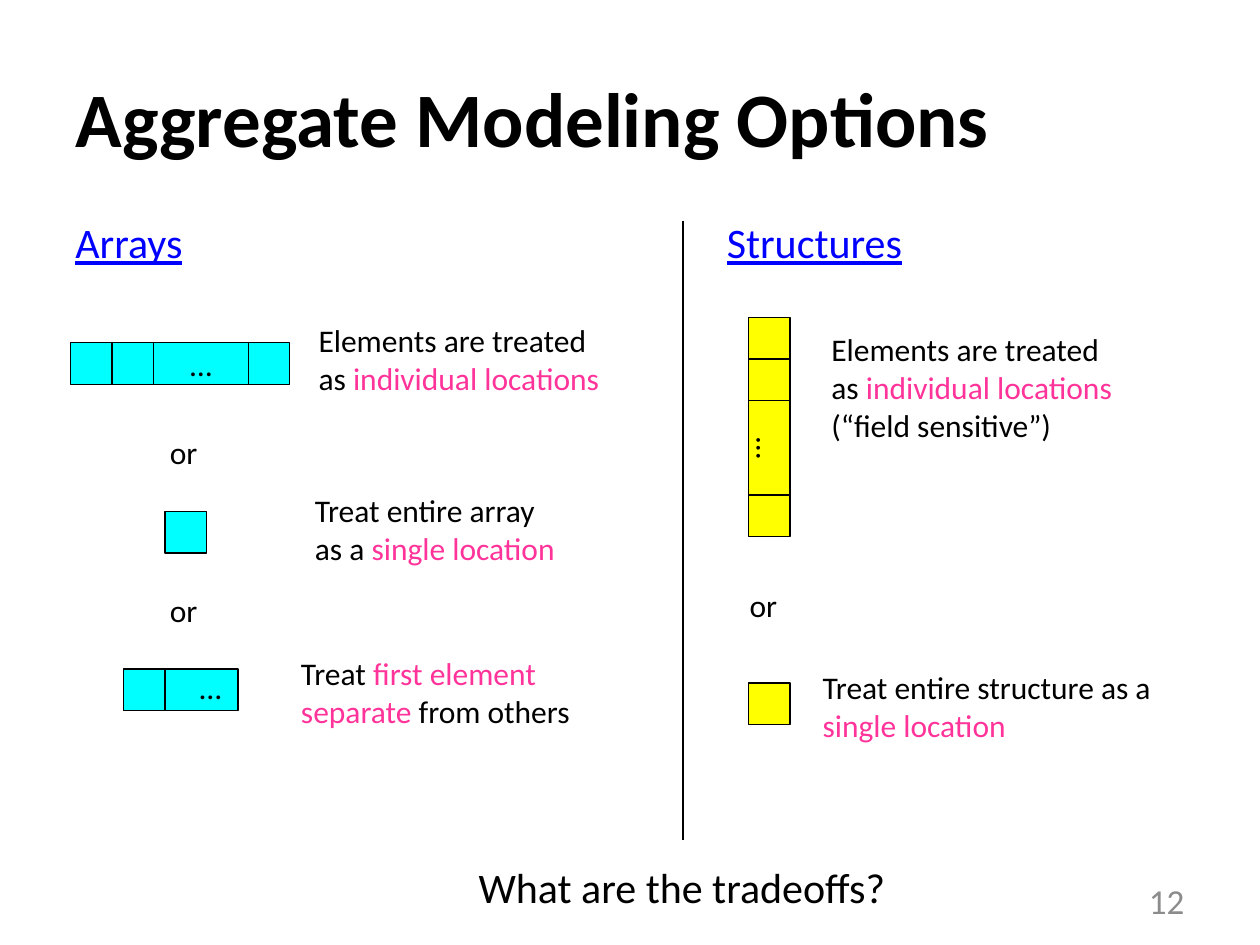
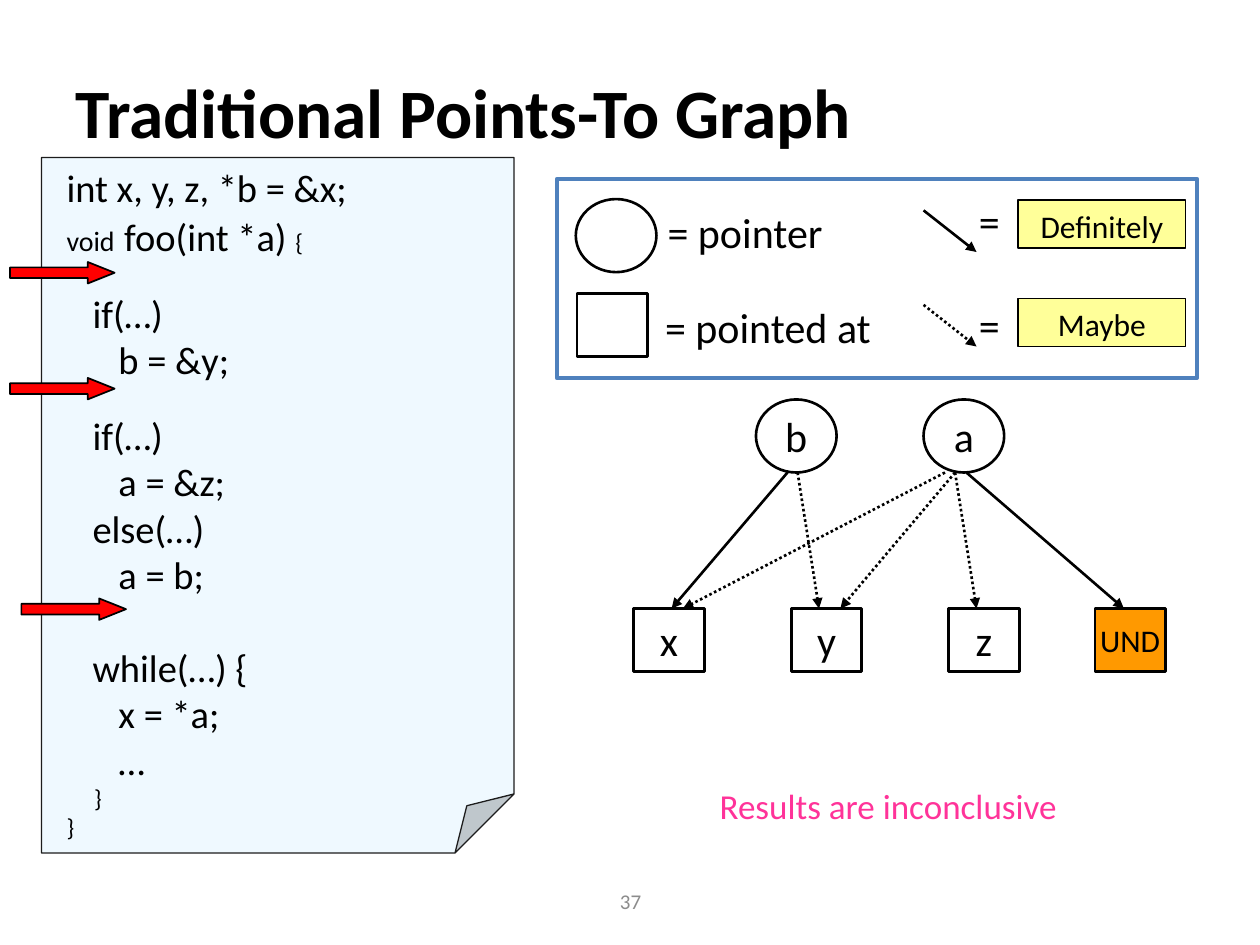
from dataclasses import dataclass, field
from typing import Any, NamedTuple, Optional

from lxml import etree
from pptx import Presentation
from pptx.dml.color import RGBColor
from pptx.enum.dml import MSO_LINE
from pptx.enum.shapes import MSO_CONNECTOR, MSO_SHAPE as SHAPE
from pptx.enum.text import MSO_ANCHOR as ANCHOR, MSO_AUTO_SIZE as AUTO, PP_ALIGN as ALIGN
from pptx.oxml.ns import qn
from pptx.util import Inches, Pt

FONT = "Calibri"
BLACK = RGBColor(0x00, 0x00, 0x00)
BLUE = RGBColor(0x00, 0x00, 0xFF)
PINK = RGBColor(0xFF, 0x33, 0x99)
GRAY = RGBColor(0x8C, 0x8C, 0x8C)
CYAN = RGBColor(0x00, 0xFF, 0xFF)
YELLOW = RGBColor(0xFF, 0xFF, 0x00)
PALE_YELLOW = RGBColor(0xFF, 0xFF, 0x99)
ORANGE = RGBColor(0xFF, 0x99, 0x00)
RED = RGBColor(0xFF, 0x00, 0x00)
PAPER = RGBColor(0xEF, 0xF9, 0xFF)
PAPER_EDGE = RGBColor(0x1C, 0x1C, 0x1C)
FRAME_BLUE = RGBColor(0x4F, 0x81, 0xBD)

CELL = 0.33  # side of one memory cell
NODE = (0.56, 0.5)
POINTER = (0.64, 0.58)


class Run(NamedTuple):
    text: str
    color: RGBColor = BLACK
    size: Optional[float] = None


class Box(NamedTuple):
    left: float
    top: float
    width: float
    height: float

    def lengths(self) -> list[Inches]:
        return [Inches(v) for v in self]


@dataclass
class Para:
    runs: list[Run]
    before: float = 0


@dataclass
class Label:
    box: Box
    paras: list[Para]
    size: float = 18
    align: ALIGN = ALIGN.LEFT
    wrap: bool = False
    anchor: ANCHOR = ANCHOR.TOP
    underline: bool = False


@dataclass
class Figure:
    kind: SHAPE
    box: Box
    fill: Optional[RGBColor] = None
    line: RGBColor = BLACK
    weight: float = 1.5
    text: str = ""
    size: float = 24
    anchor: ANCHOR = ANCHOR.MIDDLE
    rotation: float = 0
    guides: dict[str, int] = field(default_factory=dict)


class Line(NamedTuple):
    start: tuple[float, float]
    end: tuple[float, float]
    weight: float = 1.5
    dotted: bool = False
    arrow: bool = True


def set_all(target: Any, values: dict[str, Any]) -> None:
    for name, value in values.items():
        setattr(target, name, value)


def plain(*lines: str, color: RGBColor = BLACK) -> list[Para]:
    return [Para([Run(line, color)]) for line in lines]


def write(tf, paras: list[Para], size: float, align: ALIGN, **font: Any) -> None:
    for i, para in enumerate(paras):
        p = tf.paragraphs[0] if i == 0 else tf.add_paragraph()
        set_all(p, {"alignment": align, "space_before": Pt(para.before)})
        for run in para.runs:
            r = p.add_run()
            r.text = run.text
            set_all(r.font, {"name": FONT, "size": Pt(run.size or size), **font})
            r.font.color.rgb = run.color


def add_label(s, label: Label) -> None:
    tf = s.shapes.add_textbox(*label.box.lengths()).text_frame
    set_all(tf, {"word_wrap": label.wrap, "vertical_anchor": label.anchor,
                 "auto_size": AUTO.NONE if label.wrap else AUTO.SHAPE_TO_FIT_TEXT})
    write(tf, label.paras, label.size, label.align, underline=label.underline)


def set_guides(sp, guides: dict[str, int]) -> None:
    """Replace the shape's adjustment values, given in 1/100000."""
    geometry = sp._element.spPr.find(qn("a:prstGeom"))
    for old in geometry.findall(qn("a:avLst")):
        geometry.remove(old)
    values = etree.SubElement(geometry, qn("a:avLst"))
    for name, value in guides.items():
        etree.SubElement(values, qn("a:gd"), name=name, fmla=f"val {value}")


def add_figure(s, fig: Figure) -> None:
    sp = s.shapes.add_shape(fig.kind, *fig.box.lengths())
    sp.shadow.inherit = False
    sp.rotation = fig.rotation
    if fig.guides:
        set_guides(sp, fig.guides)
    if fig.fill is None:
        sp.fill.background()
    else:
        sp.fill.solid()
        sp.fill.fore_color.rgb = fig.fill
    sp.line.color.rgb = fig.line
    sp.line.width = Pt(fig.weight)
    if fig.text:
        set_all(sp.text_frame, {"word_wrap": False, "vertical_anchor": fig.anchor})
        write(sp.text_frame, plain(fig.text), fig.size, ALIGN.CENTER)


def add_line(s, line: Line) -> None:
    ends = [Inches(v) for v in (*line.start, *line.end)]
    c = s.shapes.add_connector(MSO_CONNECTOR.STRAIGHT, *ends)
    c.line.color.rgb = BLACK
    c.line.width = Pt(line.weight)
    if line.dotted:
        c.line.dash_style = MSO_LINE.ROUND_DOT
    props = c._element.spPr
    if line.arrow:
        etree.SubElement(props.find(qn("a:ln")), qn("a:tailEnd"), type="triangle")
    etree.SubElement(props, qn("a:effectLst"))


def add_cells(s, left: float, top: float, widths: list[float], fill: RGBColor,
              dots: Optional[int] = None, vertical: bool = False) -> None:
    """Draw a run of touching cells; the cell numbered `dots` shows an ellipsis."""
    for i, width in enumerate(widths):
        offset = sum(widths[:i])
        box = Box(left + offset, top, width, CELL)
        if vertical:
            shift = (width - CELL) / 2
            box = Box(left - shift, top + offset + shift, width, CELL)
        add_figure(s, Figure(SHAPE.RECTANGLE, box, fill, weight=0.75, size=18,
                             text="…" if i == dots else "", rotation=90 if vertical else 0))


def new_slide(prs, title: str, box: Box, size: float, number: Label):
    s = prs.slides.add_slide(prs.slide_layouts[5])
    ph = s.shapes.title
    set_all(ph, dict(zip(("left", "top", "width", "height"), box.lengths())))
    set_all(ph.text_frame, {"vertical_anchor": ANCHOR.MIDDLE, "auto_size": AUTO.NONE,
                            "word_wrap": True})
    write(ph.text_frame, plain(title), size, ALIGN.LEFT, bold=True)
    add_label(s, number)
    return s


def page_number(text: str, box: Box, size: float, align: ALIGN) -> Label:
    return Label(box, plain(text, color=GRAY), size, align, True, ANCHOR.MIDDLE)


def build_aggregates(prs) -> None:
    s = new_slide(prs, "Aggregate Modeling Options", Box(0.5, 0.3, 9, 1.25), 44,
                  page_number("12", Box(7.17, 6.95, 2.33, 0.4), 20, ALIGN.RIGHT))
    for heading, left in (("Arrays", 0.5), ("Structures", 5.67)):
        add_label(s, Label(Box(left, 1.67, 4, 0.5), plain(heading, color=BLUE), 24,
                           wrap=True, underline=True))
    add_line(s, Line((5.42, 1.75), (5.42, 6.67), 1.25, arrow=False))

    add_cells(s, 0.56, 2.72, [CELL, CELL, 0.75, CELL], CYAN, dots=2)
    add_cells(s, 1.31, 4.06, [CELL], CYAN)
    add_cells(s, 0.98, 5.31, [CELL, 0.58], CYAN)
    add_label(s, Label(Box(1.48, 5.25, 0.38, 0.4), plain("…"), align=ALIGN.CENTER))
    add_cells(s, 5.94, 2.52, [CELL, CELL, 0.75, CELL], YELLOW, dots=2, vertical=True)
    add_cells(s, 5.94, 5.42, [CELL], YELLOW)

    for left, top in ((1.25, 3.39), (1.25, 4.64), (5.85, 4.6)):
        add_label(s, Label(Box(left, top, 0.42, 0.4), plain("or")))

    individual = [Para([Run("Elements are treated")]),
                  Para([Run("as "), Run("individual locations", PINK)])]
    single = [Para([Run("Treat entire array")]),
              Para([Run("as a "), Run("single location", PINK)])]
    first = [Para([Run("Treat "), Run("first element", PINK)]),
             Para([Run("separate ", PINK), Run("from others")])]
    whole = [Para([Run("Treat entire structure as a "), Run("single location", PINK)])]
    for label in (
        Label(Box(2.43, 2.5, 2.46, 0.71), individual),
        Label(Box(2.4, 3.85, 2.13, 0.71), single),
        Label(Box(2.29, 5.14, 2.38, 0.71), first),
        Label(Box(6.5, 2.57, 2.46, 1.01), individual + plain("(“field sensitive”)")),
        Label(Box(6.43, 5.25, 2.91, 0.71), whole, wrap=True),
        Label(Box(3.7, 6.79, 3.47, 0.5), plain("What are the tradeoffs?"), 24),
    ):
        add_label(s, label)


def add_code(s) -> None:
    add_figure(s, Figure(SHAPE.FOLDED_CORNER, Box(0.33, 1.25, 3.75, 5.52), PAPER,
                         PAPER_EDGE, 0.75, guides={"adj": 12500}))
    signature = [Run("void", size=16), Run(" ", size=24), Run("foo(int *a) "),
                 Run("{", size=14)]
    body = plain("   if(…)", "      b = &y;", "   if(…)", "      a = &z;", "   else(…)",
                 "      a = b;", "   while(…) {", "      x = *a;", "      …")
    for row, gap in ((0, 17), (2, 17), (6, 27)):
        body[row].before = gap
    closing = [Para([Run(text, size=14)]) for text in ("     }", "}")]
    code = plain("int x, y, z, *b = &x;") + [Para(signature)] + body + closing
    add_label(s, Label(Box(0.43, 1.25, 3.66, 5.49), code, 22, wrap=True))
    for left, top in ((0.08, 2.08), (0.08, 3), (0.17, 4.75)):
        add_figure(s, Figure(SHAPE.RIGHT_ARROW, Box(left, top, 0.83, 0.17), RED,
                             weight=1, guides={"adj1": 50000, "adj2": 125000}))


def add_legend(s) -> None:
    add_figure(s, Figure(SHAPE.OVAL, Box(4.57, 1.58, *POINTER)))
    add_figure(s, Figure(SHAPE.RECTANGLE, Box(4.58, 2.33, *NODE)))
    add_figure(s, Figure(SHAPE.RECTANGLE, Box(4.42, 1.42, 5.08, 1.58),
                         line=FRAME_BLUE, weight=2.5))
    for text, box in (("= pointer", Box(5.2, 1.59, 1.51, 0.5)),
                      ("= pointed at", Box(5.18, 2.34, 1.95, 0.5)),
                      ("=", Box(7.67, 1.5, 0.4, 0.5)),
                      ("=", Box(7.67, 2.33, 0.4, 0.5))):
        add_label(s, Label(box, plain(text), 24))
    for text, box_top, line_top, dotted in (("Definitely", 1.59, 1.67, False),
                                            ("Maybe", 2.37, 2.42, True)):
        add_line(s, Line((7.33, line_top), (7.75, line_top + 0.33), dotted=dotted))
        add_figure(s, Figure(SHAPE.RECTANGLE, Box(8.08, box_top, 1.33, 0.38), PALE_YELLOW,
                             weight=1, text=text, size=18, anchor=ANCHOR.TOP))


def add_graph(s) -> None:
    for name, left in (("b", 6), ("a", 7.33)):
        add_figure(s, Figure(SHAPE.OVAL, Box(left, 3.17, *POINTER), text=name))
    for i, name in enumerate("xyz"):
        add_figure(s, Figure(SHAPE.RECTANGLE, Box(5.03 + 1.25 * i, 4.83, *NODE), text=name))
    add_figure(s, Figure(SHAPE.RECTANGLE, Box(8.69, 4.83, *NODE), ORANGE, text="UND", size=18))
    edges = ((6.25, 5.33, False), (7.67, 8.92, False), (7.58, 6.67, True),
             (7.5, 5.42, True), (6.33, 6.5, True), (7.58, 7.75, True))
    for start, end, dotted in edges:
        add_line(s, Line((start, 3.75), (end, 4.83), dotted=dotted))


def build_points_to(prs) -> None:
    s = new_slide(prs, "Traditional Points-To Graph", Box(0.5, 0.5, 9, 0.76), 39.6,
                  page_number("37", Box(3.42, 6.95, 3.17, 0.4), 12, ALIGN.CENTER))
    add_code(s)
    add_graph(s)
    add_legend(s)
    add_label(s, Label(Box(4.55, 6.14, 5, 0.5), plain("Results are inconclusive", color=PINK),
                       20, ALIGN.CENTER, True, ANCHOR.MIDDLE))


def main() -> None:
    prs = Presentation()
    set_all(prs, {"slide_width": Inches(10), "slide_height": Inches(7.5)})
    build_aggregates(prs)
    build_points_to(prs)
    prs.save("out.pptx")


if __name__ == "__main__":
    main()
